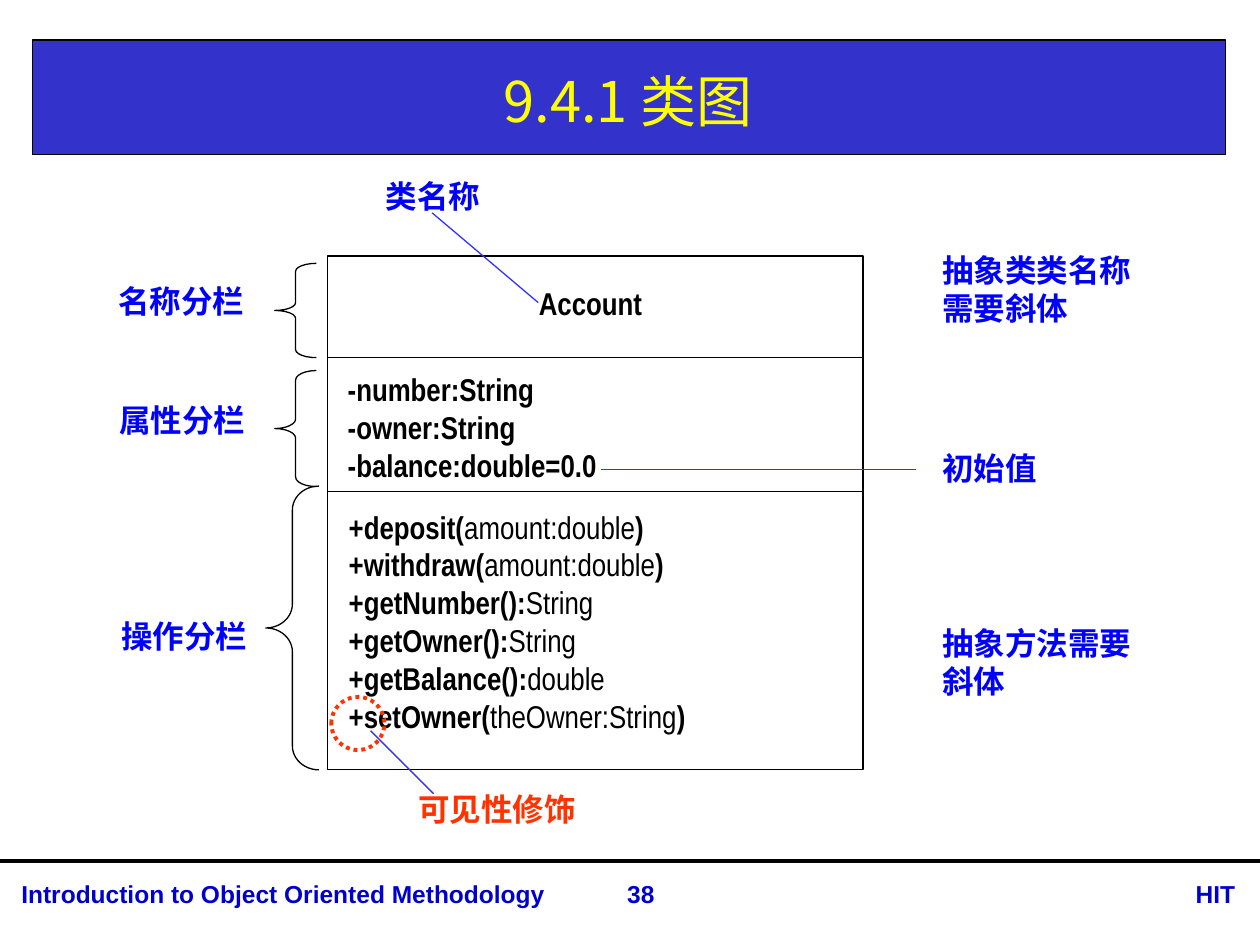
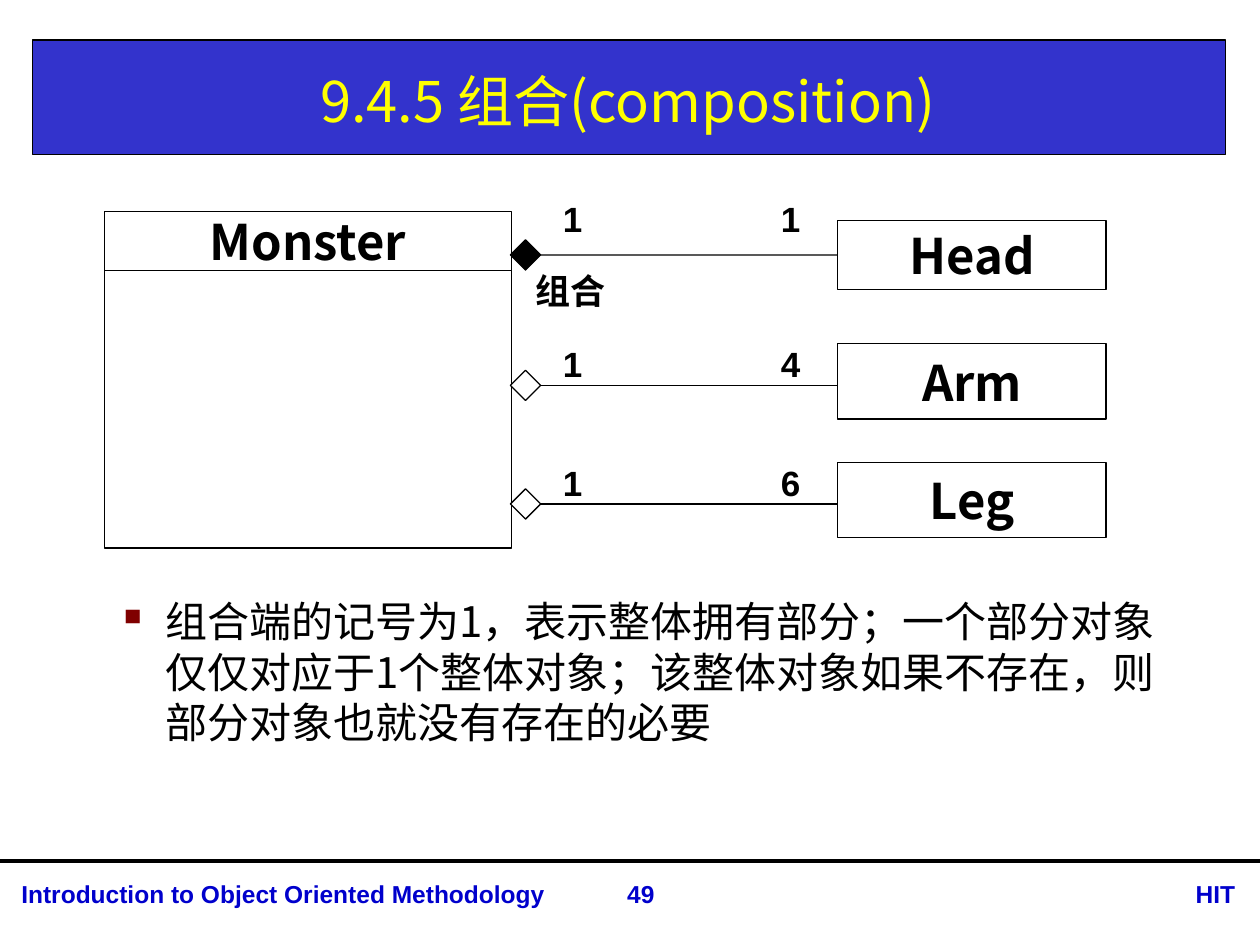
from lxml.etree import SubElement
from pptx import Presentation
from pptx.dml.color import RGBColor
from pptx.enum.dml import MSO_LINE
from pptx.enum.shapes import MSO_CONNECTOR, MSO_SHAPE
from pptx.enum.text import MSO_ANCHOR, PP_ALIGN
from pptx.oxml.ns import qn
from pptx.util import Cm, Pt

COLORS = {
    "band": "3333CC", "title": "FFFF00", "footer": "0000CC", "label": "0000FF",
    "pointer": "3333FF", "accent": "FF3300", "bullet": "800000",
    "black": "000000", "white": "FFFFFF",
}
CJK = "Noto Sans CJK SC"
LEFT, CENTER, RIGHT = PP_ALIGN.LEFT, PP_ALIGN.CENTER, PP_ALIGN.RIGHT
PAGE_WIDTH, PAGE_HEIGHT = 25.4, 19.05
FOOTER_RULE = 17.35

CLASS_DIAGRAM = {
    "title": "9.4.1 类图",
    "number": "38",
    "box": (6.6, 5.16, 10.8, 10.36),
    "dividers": [7.21, 9.91],
    "sections": [
        (["Account"], (8.69, 5.61, 6.43, 1.02), CENTER),
        (["-number:String", "-owner:String", "-balance:double=0.0"],
         (6.76, 7.34, 8.18, 2.49), LEFT),
        ([("+deposit(", "amount:double", ")"),
          ("+withdraw(", "amount:double", ")"),
          ("+getNumber():", "String"),
          ("+getOwner():", "String"),
          ("+getBalance():", "double"),
          ("+setOwner(", "theOwner:String", ")")],
         (6.78, 10.11, 10.49, 4.78), LEFT),
    ],
    "braces": [
        ((5.54, 5.31, 0.84, 1.9), 0.19),
        ((5.54, 7.47, 0.84, 2.34), 0.23),
        ((5.36, 9.8, 1.07, 5.72), 0.45),
    ],
    "labels": [
        ("名称分栏", (1.96, 5.56, 3.38, 1.02), CENTER, "label"),
        ("属性分栏", (1.98, 7.95, 3.38, 1.02), CENTER, "label"),
        ("操作分栏", (2.03, 12.32, 3.38, 1.02), CENTER, "label"),
        ("类名称", (7.04, 3.45, 3.38, 1.02), CENTER, "label"),
        ("可见性修饰", (7.9, 15.8, 4.24, 1.02), CENTER, "accent"),
        ("抽象类类名称需要斜体", (18.75, 4.93, 4.39, 1.8), LEFT, "label"),
        ("初始值", (18.75, 8.92, 4.39, 1.02), LEFT, "label"),
        ("抽象方法需要斜体", (18.75, 12.45, 4.39, 1.8), LEFT, "label"),
    ],
    "pointers": [
        (8.71, 4.29, 10.85, 6.1),
        (18.47, 9.47, 12.12, 9.47),
        (8.74, 16, 7.47, 14.73),
    ],
    "visibility_ring": (6.68, 14.05, 1.07, 1.07),
}

COMPOSITION = {
    "title": "9.4.5 组合(composition)",
    "number": "49",
    "whole": "Monster",
    "whole_name": (2.11, 4.27, 8.2, 1.19),
    "whole_body": (2.11, 5.46, 8.2, 5.59),
    "caption": ("组合", (10.8, 5.44, 1.6, 0.84)),
    "parts": [
        {"name": "Head", "count": "1", "top": 4.44, "height": 1.4,
         "axis": 5.14, "marks": 3.86, "diamond": "black"},
        {"name": "Arm", "count": "4", "top": 6.93, "height": 1.52,
         "axis": 7.77, "marks": 6.78, "diamond": "white"},
        {"name": "Leg", "count": "6", "top": 9.32, "height": 1.52,
         "axis": 10.16, "marks": 9.17, "diamond": "white"},
    ],
    "note": "组合端的记号为1，表示整体拥有部分；一个部分对象仅仅对应于1个整体对象；"
            "该整体对象如果不存在，则部分对象也就没有存在的必要",
    "note_place": (2.11, 11.89, 21.49, 3.53),
}
DIAMOND_LEFT, DIAMOND_SIZE = 10.29, 0.61
PART_LEFT, PART_WIDTH = 16.89, 5.41
WHOLE_MARK_LEFT, PART_MARK_LEFT = 11.1, 15.49


def color(name):
    return RGBColor.from_string(COLORS[name])


def write(box, lines, size=18, font="Arial", ink="black", bold=True, align=LEFT,
          anchor=MSO_ANCHOR.TOP, wrap=True, inset=None, bullet=None):
    frame = box.text_frame
    frame.word_wrap = wrap
    frame.vertical_anchor = anchor
    if inset is not None:
        frame.margin_left = frame.margin_right = Cm(inset)
        frame.margin_top = frame.margin_bottom = Cm(inset)
    for index, line in enumerate([lines] if isinstance(lines, str) else lines):
        para = frame.add_paragraph() if index else frame.paragraphs[0]
        para.alignment = align
        if bullet:
            add_bullet(para, bullet)
        for position, words in enumerate([line] if isinstance(line, str) else line):
            span = para.add_run()
            span.text = words
            span.font.size = Pt(size)
            span.font.bold = bold and position % 2 == 0
            span.font.color.rgb = color(ink)
            span.font.name = font
            SubElement(span.font._element, qn("a:ea"), typeface=CJK)


def add_bullet(para, sign):
    props = para._p.get_or_add_pPr()
    props.set("marL", str(Cm(0.97)))
    props.set("indent", str(-Cm(0.97)))
    tint = SubElement(props, qn("a:buClr"))
    SubElement(tint, qn("a:srgbClr"), val=COLORS["bullet"])
    SubElement(props, qn("a:buChar"), char=sign)


def add_text(page, lines, place, **style):
    box = page.shapes.add_textbox(*map(Cm, place))
    write(box, lines, **style)
    return box


def add_shape(page, kind, place, fill=None, line="black", width=0.75):
    shape = page.shapes.add_shape(kind, *map(Cm, place))
    shape.shadow.inherit = False
    if fill:
        shape.fill.solid()
        shape.fill.fore_color.rgb = color(fill)
    else:
        shape.fill.background()
    shape.line.color.rgb = color(line)
    shape.line.width = Pt(width)
    return shape


def add_line(page, ends, ink="black", width=0.75):
    line = page.shapes.add_connector(MSO_CONNECTOR.STRAIGHT, *map(Cm, ends))
    line.line.color.rgb = color(ink)
    line.line.width = Pt(width)
    SubElement(line._element.spPr, qn("a:effectLst"))
    return line


def add_page(deck, content):
    page = deck.slides.add_slide(deck.slide_layouts[6])
    add_shape(page, MSO_SHAPE.RECTANGLE, (0.66, 0.81, 24.05, 2.31), "band")
    add_line(page, (0, FOOTER_RULE, PAGE_WIDTH, FOOTER_RULE), width=2.25)
    for words, left, width, align in [
        ("Introduction to Object Oriented Methodology", 0.18, 11.76, LEFT),
        (content["number"], 11.61, 2.62, CENTER),
        ("HIT", 22.53, 2.62, RIGHT),
    ]:
        add_text(page, words, (left, 17.6, width, 0.86), size=14, ink="footer", align=align)
    add_text(page, content["title"], (0.66, 0.91, 24, 2.21), size=32, font=CJK,
             ink="title", bold=False, align=CENTER, anchor=MSO_ANCHOR.MIDDLE)
    return page


def add_class_diagram(deck, content):
    page = add_page(deck, content)
    left, _, width, _ = content["box"]
    add_shape(page, MSO_SHAPE.RECTANGLE, content["box"])
    for lines, place, align in content["sections"]:
        add_text(page, lines, place, font="Arial Narrow", align=align)
    for height in content["dividers"]:
        add_line(page, (left, height, left + width, height))
    for place, curve in content["braces"]:
        brace = add_shape(page, MSO_SHAPE.LEFT_BRACE, place)
        brace.adjustments[0] = curve
    for words, place, align, ink in content["labels"]:
        add_text(page, words, place, ink=ink, align=align)
    for ends in content["pointers"]:
        add_line(page, ends, "pointer")
    ring = add_shape(page, MSO_SHAPE.OVAL, content["visibility_ring"],
                     line="accent", width=2.25)
    ring.line.dash_style = MSO_LINE.ROUND_DOT


def add_named_box(page, name, place):
    box = add_shape(page, MSO_SHAPE.RECTANGLE, place, "white")
    write(box, name, size=28, font=CJK, align=CENTER, anchor=MSO_ANCHOR.MIDDLE, wrap=False)
    return box


def add_part(page, part):
    axis = part["axis"]
    box = add_named_box(page, part["name"],
                        (PART_LEFT, part["top"], PART_WIDTH, part["height"]))
    diamond = add_shape(page, MSO_SHAPE.DIAMOND,
                        (DIAMOND_LEFT, axis - DIAMOND_SIZE / 2, DIAMOND_SIZE, DIAMOND_SIZE),
                        part["diamond"])
    link = add_line(page, (DIAMOND_LEFT + DIAMOND_SIZE, axis, PART_LEFT, axis))
    link.begin_connect(diamond, 3)
    if abs(part["top"] + part["height"] / 2 - axis) < 0.01:
        link.end_connect(box, 1)
    for words, left in [("1", WHOLE_MARK_LEFT), (part["count"], PART_MARK_LEFT)]:
        add_text(page, words, (left, part["marks"], 1, 1.09), size=20)


def add_composition(deck, content):
    page = add_page(deck, content)
    add_named_box(page, content["whole"], content["whole_name"])
    add_shape(page, MSO_SHAPE.RECTANGLE, content["whole_body"], "white")
    add_text(page, *content["caption"], size=20, inset=0)
    for part in content["parts"]:
        add_part(page, part)
    add_text(page, content["note"], content["note_place"], size=24, font=CJK,
             bold=False, bullet="▪")


def main():
    deck = Presentation()
    deck.slide_width, deck.slide_height = Cm(PAGE_WIDTH), Cm(PAGE_HEIGHT)
    add_class_diagram(deck, CLASS_DIAGRAM)
    add_composition(deck, COMPOSITION)
    deck.save("out.pptx")


if __name__ == "__main__":
    main()
